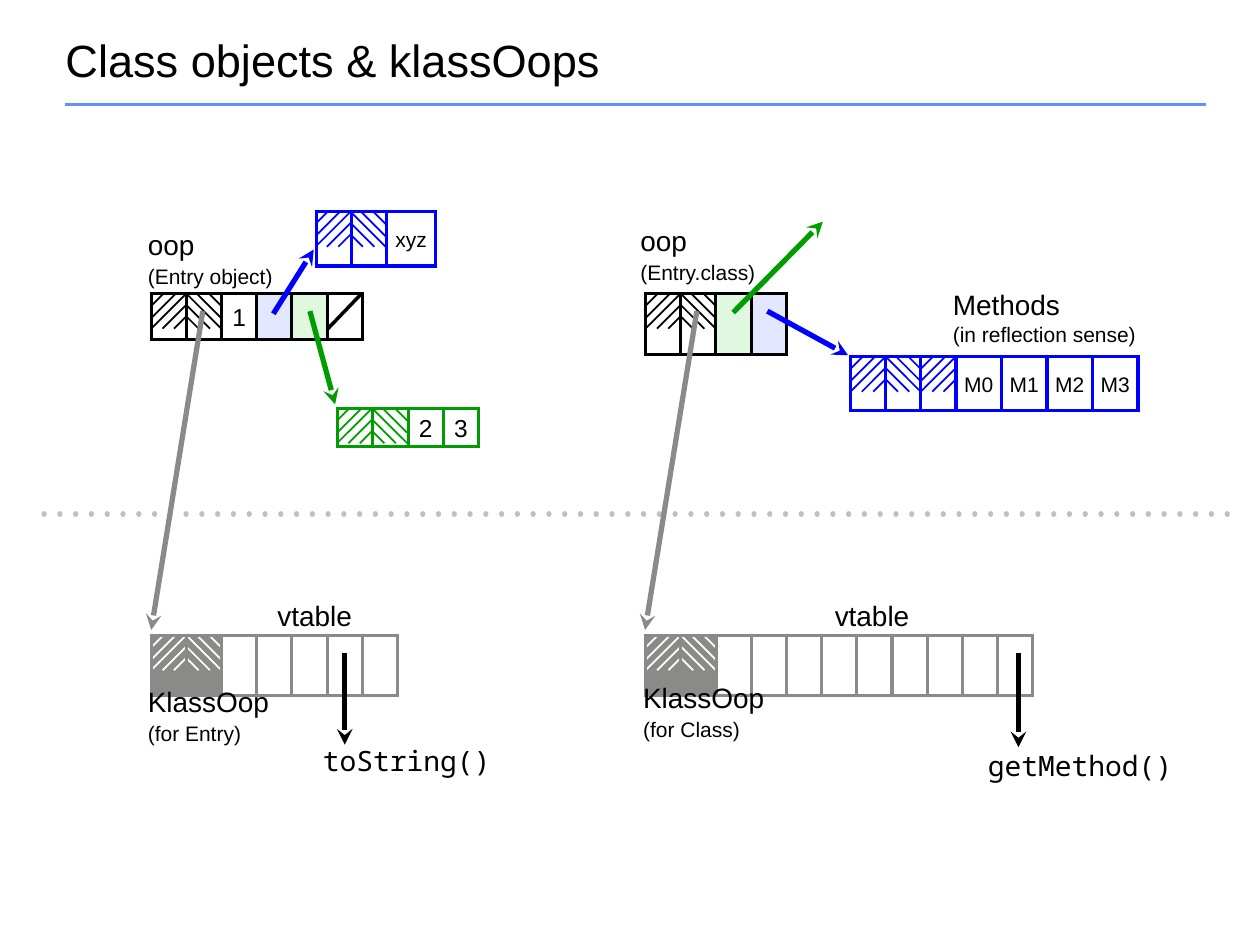
from lxml import etree
from pptx import Presentation
from pptx.dml.color import RGBColor
from pptx.enum.shapes import MSO_CONNECTOR
from pptx.enum.text import MSO_ANCHOR, MSO_AUTO_SIZE, PP_ALIGN
from pptx.oxml.ns import qn
from pptx.util import Pt

STRAIGHT = MSO_CONNECTOR.STRAIGHT
MIDDLE = MSO_ANCHOR.MIDDLE
CENTER, LEFT = PP_ALIGN.CENTER, PP_ALIGN.LEFT
GROW = MSO_AUTO_SIZE.SHAPE_TO_FIT_TEXT
BLACK, GRAY, BLUE, GREEN, WHITE = "000000", "8A8A89", "0000FF", "009D00", "FFFFFF"
PALE_BLUE, PALE_GREEN = "#E3E7FF", "#E0F8E0"
SANS, MONO = "Arial", "Noto Sans Mono"
CELL = 20.1
rgb = RGBColor.from_string

deck = Presentation()
deck.slide_width, deck.slide_height = Pt(720), Pt(540)
slide = deck.slides.add_slide(deck.slide_layouts[5])
shapes = slide.shapes


def line(host, ends, color, width, head=False):
    """Draw a straight line; a head sits at its first end."""
    item = host.add_connector(STRAIGHT, *[Pt(v) for v in ends])
    item.line.color.rgb = rgb(color)
    item.line.width = Pt(width)
    props = item._element.spPr
    if head:
        etree.SubElement(props.find(qn("a:ln")), qn("a:headEnd"), type="stealth")
    etree.SubElement(props, qn("a:effectLst"))
    return item


def grid(x, y, high, color, cells, wide=CELL, size=12):
    """Draw a one-row table; a cell is empty, a text or a #fill."""
    widths = [wide if text and text[0] != "#" else CELL for text in cells]
    frame = shapes.add_table(1, len(cells), Pt(x), Pt(y), Pt(sum(widths)), Pt(high))
    table = frame.table
    table.first_row = table.horz_banding = False
    table.rows[0].height = Pt(high)
    for col, (text, width) in enumerate(zip(cells, widths)):
        table.columns[col].width = Pt(width)
        cell = table.cell(0, col)
        pad = Pt(2.2) if text else 0
        cell.margin_left = cell.margin_right = pad
        cell.margin_top = cell.margin_bottom = pad
        cell.vertical_anchor = MIDDLE
        # Borders come before the fill in the cell properties
        props = cell._tc.get_or_add_tcPr()
        for side in ("lnL", "lnR", "lnT", "lnB"):
            edge = etree.SubElement(props, qn("a:" + side), w=str(Pt(2)))
            fill = etree.SubElement(edge, qn("a:solidFill"))
            etree.SubElement(fill, qn("a:srgbClr"), val=color)
        if text.startswith("#"):
            cell.fill.solid()
            cell.fill.fore_color.rgb = rgb(text[1:])
            continue
        cell.fill.background()
        if text:
            para = cell.text_frame.paragraphs[0]
            para.alignment = CENTER
            para.line_spacing = 1.1
            run = para.add_run()
            run.text = text
            run.font.name, run.font.size = SANS, Pt(size)
            run.font.color.rgb = rgb(BLACK)


# Title and rule
title = shapes.title
title.left, title.top, title.width, title.height = Pt(30.2), Pt(18), Pt(660), Pt(36)
frame = title.text_frame
frame.vertical_anchor = MIDDLE
para = frame.paragraphs[0]
para.alignment = LEFT
para.line_spacing = 0.9
run = para.add_run()
run.text = "Class objects & klassOops"
run.font.name, run.font.size = SANS, Pt(25.8)
run.font.color.rgb = rgb(BLACK)
line(shapes, (37, 59.8, 689, 59.8), "618FFD", 2)

# Dotted divider
dots = line(shapes, (701.3, 293.8, 18.7, 293.8), "BFC0BF", 3)
stroke = dots._element.spPr.find(qn("a:ln"))
stroke.set("cap", "rnd")
dash = etree.SubElement(stroke, qn("a:custDash"))
etree.SubElement(dash, qn("a:ds"), d="100000", sp="200000")

# Memory layouts
grid(86.4, 167.8, 22, BLACK, ["", "", "1", PALE_BLUE, PALE_GREEN, ""], size=14)
grid(180.7, 121, 31, BLUE, ["", "", "xyz"], 28)
grid(193, 233.3, 22, GREEN, ["", "", "2", "3"], size=14)
grid(368.9, 167.8, 34.6, BLACK, ["", "", PALE_GREEN, PALE_BLUE])
grid(486, 203.8, 31, BLUE, ["", "", "", "M0", "M1", "M2", "M3"], 26)
for x, count in ((86.4, 7), (369, 11)):
    grid(x, 363, 34.6, GRAY, ["#" + GRAY] * 2 + [""] * (count - 2))
line(shapes, (206.6, 167.8, 187.2, 188), BLACK, 2)

# Hatched header cells
strokes = [(14, 0, 0, 14), (20, 0, 0, 20), (7, 0, 0, 7),
           (20, 6.5, 6.5, 20), (20, 13, 13, 20)]
for x, y, color, slants in (
    (86.4, 167.8, BLACK, "/\\"), (192.6, 233.3, GREEN, "/\\"),
    (180.3, 121, BLUE, "/\\"), (368.9, 167.8, BLACK, "/\\"),
    (486, 203.8, BLUE, "/\\/"),
    (86.4, 363, WHITE, "/\\"), (369, 363, WHITE, "/\\"),
):
    group = shapes.add_group_shape()
    for col, slant in enumerate(slants):
        left = x + col * CELL
        for x1, y1, x2, y2 in strokes:
            if slant == "\\":
                x1, x2 = 20 - x1, 20 - x2
            line(group.shapes, (left + x1, y + y1, left + x2, y + y2), color, 1)

# Frames over the white hatching
for x in (86.4, 369):
    grid(x, 363, 20.2, GRAY, ["", ""])

# Labels: place, line spacing, font, paragraphs of (text, size)
for x, y, wide, high, gap, font, paras in (
    (80, 125.3, 106, 39.6, 1.1, SANS,
     [[("oop", 16), ("\n", 12), ("(Entry object)", 12)]]),
    (361.4, 123, 106, 41, 1.1, SANS,
     [[("oop", 16), ("\n", 14), ("(Entry.class)", 12)]]),
    (80, 386, 106, 39.6, 1.1, SANS, [[("KlassOop", 16)], [("(for Entry)", 12)]]),
    (363, 386, 106, 38, 1, SANS, [[("KlassOop", 16)], [("(for Class)", 12)]]),
    (540, 161.3, 130, 39.6, 1, SANS,
     [[("Methods", 16), ("\n", 14), ("(in reflection sense)", 12)]]),
    (180, 422, 106, 25, 1, MONO, [[("toString()", 16)]]),
    (560, 425, 119, 25, 1, MONO, [[("getMethod()", 16)]]),
    (154, 337, 106, 24, 1.1, SANS, [[("vtable", 16)]]),
    (472.5, 337, 106, 24, 1.1, SANS, [[("vtable", 16)]]),
):
    frame = shapes.add_textbox(Pt(x), Pt(y), Pt(wide), Pt(high)).text_frame
    frame.word_wrap = True
    frame.auto_size = GROW
    frame.margin_left = frame.margin_right = Pt(3)
    frame.margin_top = frame.margin_bottom = Pt(3)
    for index, runs in enumerate(paras):
        para = frame.add_paragraph() if index else frame.paragraphs[0]
        para.line_spacing = 1.1 if index else gap
        para._p.get_or_add_pPr().set("marL", str(Pt(1.5)))
        for text, size in runs:
            if text == "\n":
                para.add_line_break()
                etree.SubElement(para._p[-1], qn("a:rPr"), sz=str(size * 100))
                continue
            run = para.add_run()
            run.text = text
            run.font.name, run.font.size = font, Pt(size)
            run.font.color.rgb = rgb(BLACK)

# Pointers, from tip to source
for color, ends in (
    (BLUE, (179.3, 142.6, 156.2, 179.3)),
    (GREEN, (191.5, 231.1, 177.1, 177.8)),
    (BLUE, (484.6, 203, 438.5, 177.8)),
    (GREEN, (470.2, 126.7, 419, 178.6)),
    (BLACK, (197, 425.5, 197, 373)),
    (BLACK, (582, 427, 582, 373)),
    (GRAY, (86.4, 360, 115.9, 177.8)),
    (GRAY, (368.6, 360, 398.2, 177.8)),
):
    line(shapes, ends, color, 3, head=True)

deck.save("out.pptx")
